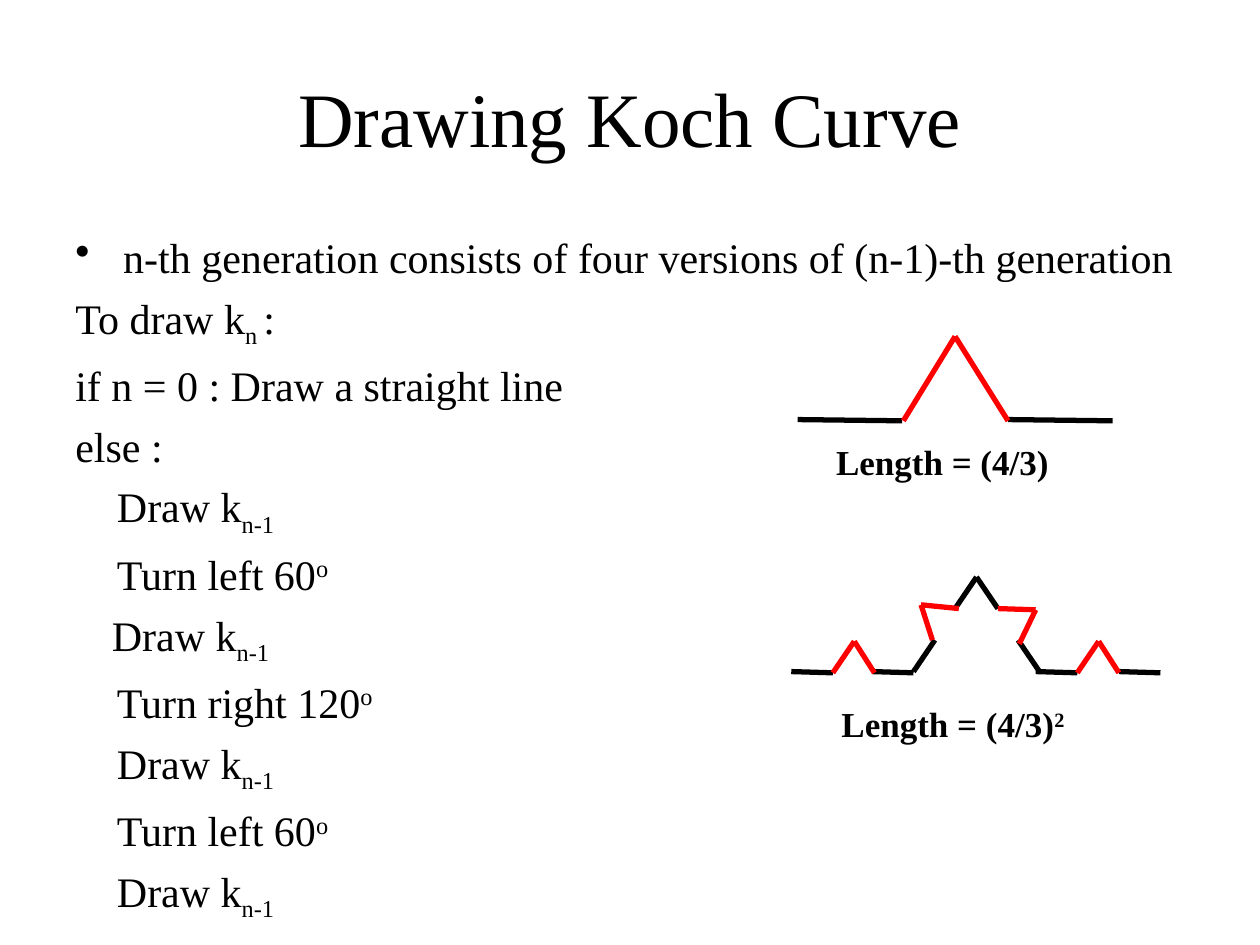
from dataclasses import dataclass
from itertools import pairwise

from lxml import etree
from pptx import Presentation
from pptx import util as u
from pptx.dml.color import RGBColor
from pptx.enum import shapes, text
from pptx.oxml.ns import qn

PX = u.Inches(1) // 100
FONT = "Times New Roman"
BLACK = RGBColor(0, 0, 0)
RED = RGBColor(255, 0, 0)
SUB, SUPER = -25, 30
STEP_INDENT = 33

Point = tuple[int, int]
Span = tuple[str, int]


@dataclass
class Line:
    spans: list[Span]
    indent: int = 0
    bullet: bool = False


@dataclass
class Label:
    left: int
    top: int
    width: int
    height: int
    size: int
    lines: list[Line]
    bold: bool = False
    align: text.PP_ALIGN = text.PP_ALIGN.LEFT
    anchor: text.MSO_ANCHOR = text.MSO_ANCHOR.MIDDLE
    gap: float = 0


@dataclass
class Stroke:
    color: RGBColor
    points: list[Point]


def draw_step(indent: int = STEP_INDENT) -> Line:
    return Line([("Draw k", 0), ("n-1", SUB)], indent)


def turn_step(direction: str, angle: int) -> Line:
    return Line([(f"Turn {direction} {angle}", 0), ("o", SUPER)], STEP_INDENT)


def add_label(page, label: Label) -> None:
    box = page.shapes.add_textbox(
        *(side * PX for side in (label.left, label.top, label.width, label.height))
    )
    frame = box.text_frame
    frame.word_wrap = True
    frame.vertical_anchor = label.anchor
    for index, line in enumerate(label.lines):
        para = frame.paragraphs[0] if index == 0 else frame.add_paragraph()
        para.alignment = label.align
        if index:
            para.space_before = u.Pt(label.gap)
        properties = para._p.get_or_add_pPr()
        if line.indent:
            properties.set("marL", str(line.indent * PX))
        if line.bullet:
            properties.set("indent", str(-line.indent * PX))
            etree.SubElement(properties, qn("a:buChar"), char="•")
        para.font.name = FONT
        para.font.size = u.Pt(label.size)
        para.font.bold = label.bold
        para.font.color.rgb = BLACK
        for words, baseline in line.spans:
            span = para.add_run()
            span.text = words
            if baseline:
                span._r.get_or_add_rPr().set("baseline", str(baseline * 1000))


def add_stroke(page, stroke: Stroke) -> None:
    for start, end in pairwise(stroke.points):
        segment = page.shapes.add_connector(
            shapes.MSO_CONNECTOR.STRAIGHT, *(value * PX for value in start + end)
        )
        segment.line.color.rgb = stroke.color
        segment.line.width = u.Pt(3)
        etree.SubElement(segment._element.spPr, qn("a:effectLst"))


LABELS = [
    Label(50, 30, 900, 125, 44, [Line([("Drawing Koch Curve", 0)])],
          align=text.PP_ALIGN.CENTER),
    Label(50, 179, 900, 546, 24, [
        Line([("n-th generation consists of four versions of (n-1)-th generation", 0)],
             38, bullet=True),
        Line([("To draw k", 0), ("n ", SUB), (":", 0)]),
        Line([("if n = 0 : Draw a straight line", 0)]),
        Line([("else :", 0)]),
        draw_step(),
        turn_step("left", 60),
        draw_step(29),
        turn_step("right", 120),
        draw_step(),
        turn_step("left", 60),
        draw_step(),
    ], anchor=text.MSO_ANCHOR.TOP, gap=5.8),
    Label(623, 350, 250, 33, 20, [Line([("Length = (4/3)", 0)])],
          bold=True, align=text.PP_ALIGN.CENTER),
    Label(658, 558, 200, 33, 20, [Line([("Length = (4/3)", 0), ("2", SUPER)])],
          bold=True),
]

FIRST_GENERATION = [
    *(Stroke(BLACK, [(x, 333), (x + 83, 334)]) for x in (800, 633)),
    Stroke(RED, [(717, 334), (758, 267), (800, 334)]),
]

SECOND_GENERATION = [
    *(Stroke(BLACK, [(x, 533), (x + 33, 534)]) for x in (628, 692, 822, 888)),
    Stroke(BLACK, [(725, 533), (742, 508)]),
    Stroke(BLACK, [(825, 533), (808, 508)]),
    Stroke(BLACK, [(758, 483), (775, 458), (792, 483)]),
    *(Stroke(RED, [(x, 534), (x + 17, 509), (x + 33, 534)]) for x in (661, 855)),
    Stroke(RED, [(740, 508), (731, 480), (761, 483)]),
    Stroke(RED, [(792, 483), (822, 484), (809, 511)]),
]


def main() -> None:
    deck = Presentation()
    deck.slide_width, deck.slide_height = 1000 * PX, 750 * PX
    page = deck.slides.add_slide(deck.slide_layouts[6])
    for stroke in FIRST_GENERATION + SECOND_GENERATION:
        add_stroke(page, stroke)
    for label in LABELS:
        add_label(page, label)
    deck.save("out.pptx")


if __name__ == "__main__":
    main()
